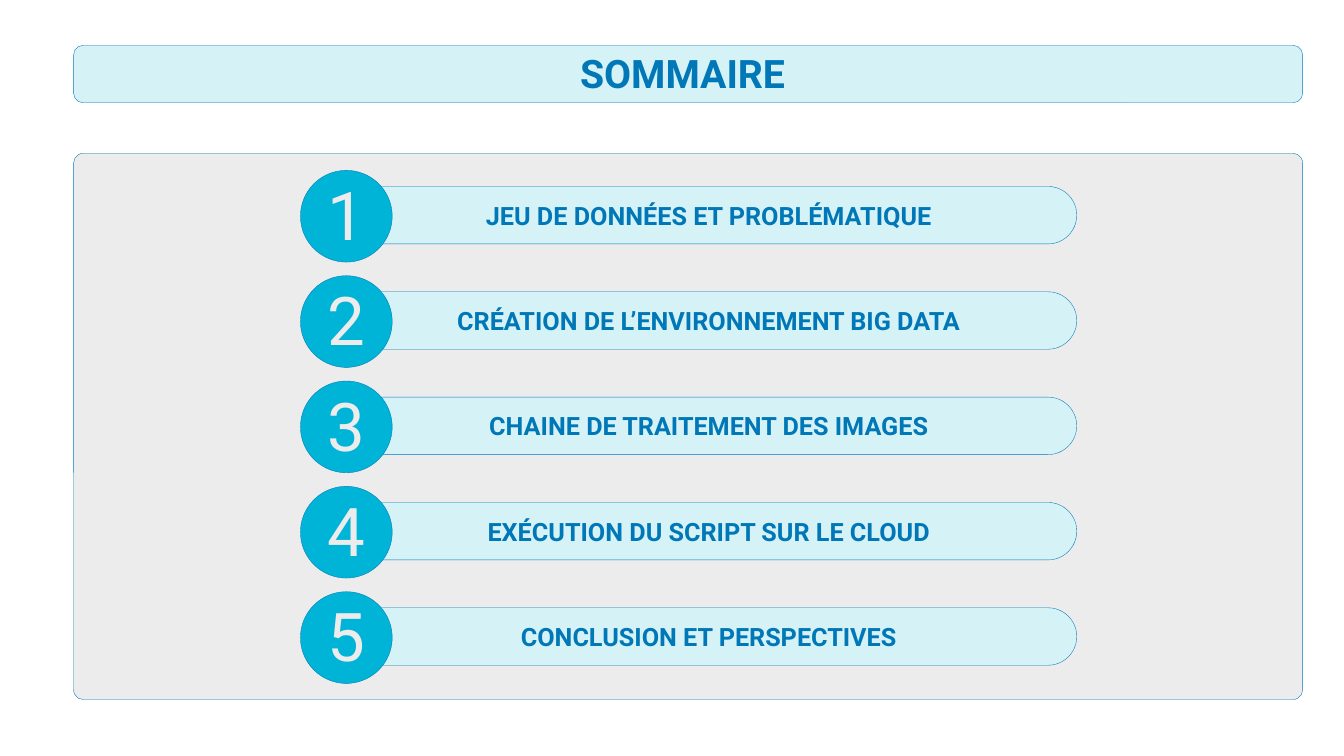
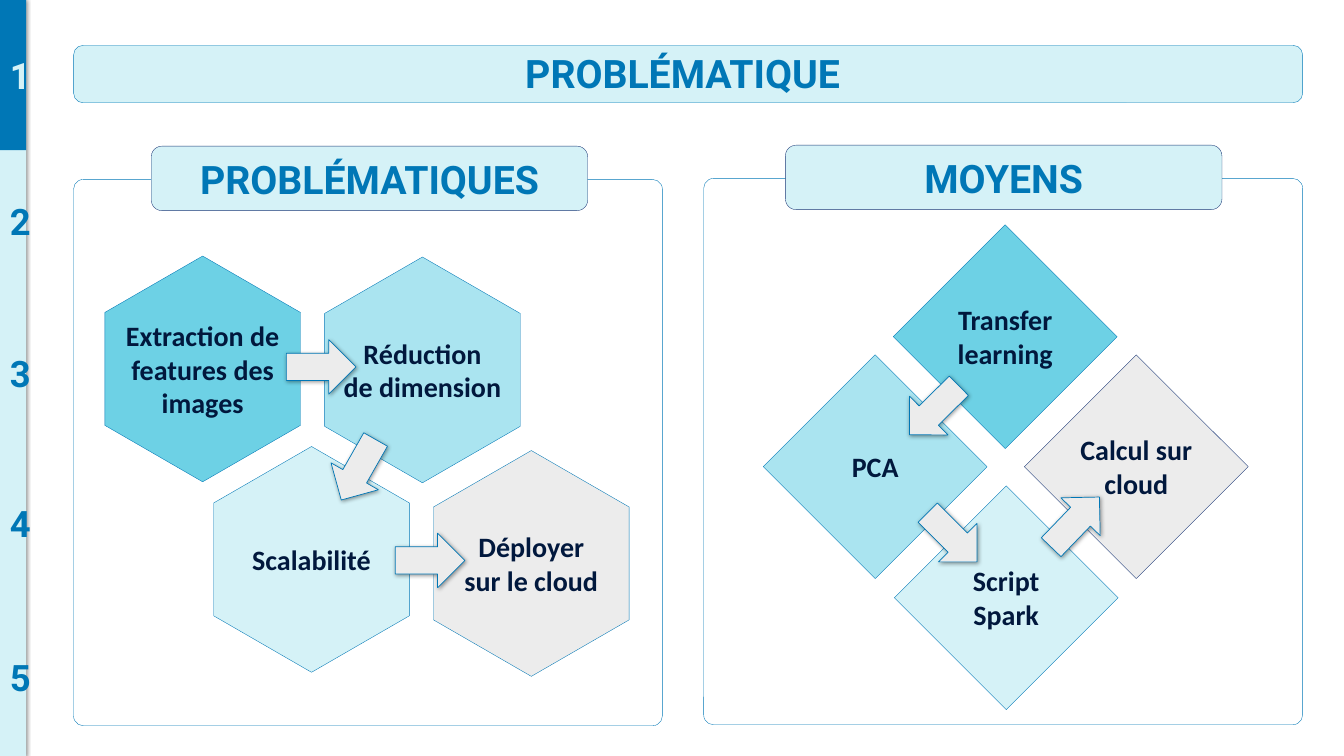
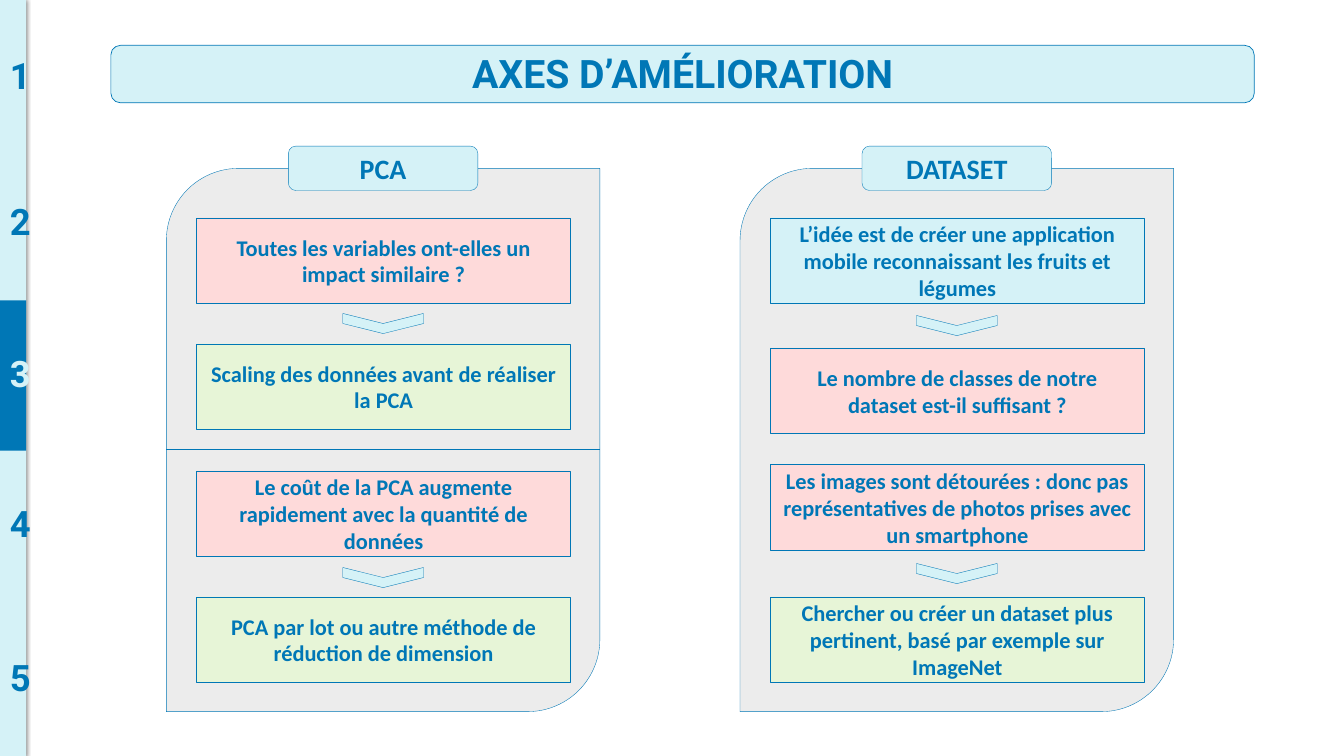
from lxml import etree
from pptx import Presentation
from pptx.dml.color import RGBColor
from pptx.enum.shapes import MSO_CONNECTOR, MSO_SHAPE
from pptx.enum.text import MSO_ANCHOR, MSO_AUTO_SIZE, PP_ALIGN
from pptx.oxml.ns import qn
from pptx.util import Inches, Pt

BLUE = RGBColor(0x00, 0x77, 0xB6)
CYAN = RGBColor(0x00, 0xB4, 0xD8)
SKY = RGBColor(0x6D, 0xD1, 0xE5)
PALE_SKY = RGBColor(0xAA, 0xE4, 0xF0)
ICE = RGBColor(0xD5, 0xF2, 0xF7)
GREY = RGBColor(0xEC, 0xEC, 0xEC)
WHITE = RGBColor(0xFF, 0xFF, 0xFF)
NAVY = RGBColor(0x1C, 0x38, 0x77)
INK = RGBColor(0x01, 0x18, 0x3D)
PINK = RGBColor(0xFE, 0xDA, 0xDA)
GREEN = RGBColor(0xE7, 0xF5, 0xD7)


def paint(sp, fill, line=BLUE, weight=0.25, shadow=None):
    """Set fill, outline and an optional shadow (opacity %, blur pt, distance pt, angle)."""
    sp.fill.solid()
    sp.fill.fore_color.rgb = fill
    if line is None:
        sp.line.fill.background()
    else:
        sp.line.color.rgb = line
        sp.line.width = Pt(weight)
    sp.shadow.inherit = False
    if shadow:
        opacity, blur, dist, angle = shadow
        effects = sp._element.spPr.find(qn("a:effectLst"))
        outer = etree.SubElement(effects, qn("a:outerShdw"), blurRad=str(Pt(blur)),
                                 dist=str(Pt(dist)), dir=str(angle * 60000),
                                 algn="ctr", rotWithShape="0")
        color = etree.SubElement(outer, qn("a:srgbClr"), val="000000")
        etree.SubElement(color, qn("a:alpha"), val=str(opacity * 1000))
    return sp


def write(sp, text, size, font="Calibri", color=BLUE, bold=True, anchor=MSO_ANCHOR.MIDDLE):
    """Fill a shape with centred text, one paragraph a line."""
    tf = sp.text_frame
    tf.text = text
    tf.word_wrap = True
    tf.auto_size = MSO_AUTO_SIZE.NONE
    tf.vertical_anchor = anchor
    for p in tf.paragraphs:
        p.alignment = PP_ALIGN.CENTER
        for r in p.runs:
            r.font.size = Pt(size)
            r.font.name = font
            r.font.bold = bold
            r.font.color.rgb = color
    return tf


prs = Presentation()
prs.slide_width, prs.slide_height = Inches(13.33), Inches(7.5)

# Title bar and section rail of every slide: title, bar left and width, line, section
slides = []
for title, left, width, weight, section in [
    ("SOMMAIRE", 0.73, 12.19, 0.25, None),
    ("PROBLÉMATIQUE", 0.73, 12.19, 0.25, 1),
    ("AXES D’AMÉLIORATION", 1.1, 11.34, 0.5, 3),
]:
    s = prs.slides.add_slide(prs.slide_layouts[5])
    slides.append(s)
    bar = s.shapes.add_shape(MSO_SHAPE.ROUNDED_RECTANGLE,
                             *map(Inches, (left, 0.45, width, 0.57)))
    paint(bar, ICE, weight=weight)
    sp = s.shapes.title
    sp.left, sp.top, sp.width, sp.height = map(Inches, (1.1, 0.44, 11.34, 0.57))
    write(sp, title, 28, "Roboto", anchor=MSO_ANCHOR.TOP)
    bar._element.addnext(sp._element)  # title in front of its bar
    if section is None:
        continue
    rail = s.shapes.add_shape(MSO_SHAPE.RECTANGLE, 0, 0, Inches(0.26), prs.slide_height)
    paint(rail, ICE, line=None, shadow=(50, 3, 0, 0))
    current = s.shapes.add_shape(MSO_SHAPE.RECTANGLE,
                                 *map(Inches, (0, 1.49 * (section - 1), 0.26, 1.49)))
    paint(current, BLUE, line=None)
    for number, top in enumerate((0.48, 1.93, 3.43, 4.92, 6.45), 1):
        sp = s.shapes.add_textbox(*map(Inches, (0, top, 0.25, 0.54)))
        write(sp, str(number), 26, "Roboto", ICE if number == section else BLUE,
              anchor=MSO_ANCHOR.TOP)

summary, problem, improvements = slides

# Slide 1: numbered summary
s = summary
panel = s.shapes.add_shape(MSO_SHAPE.ROUNDED_RECTANGLE, *map(Inches, (0.73, 1.52, 12.19, 5.42)))
panel.adjustments[0] = 0.018
paint(panel, GREY)
chapters = [
    "JEU DE DONNÉES ET PROBLÉMATIQUE",
    "CRÉATION DE L’ENVIRONNEMENT BIG DATA",
    "CHAINE DE TRAITEMENT DES IMAGES",
    "EXÉCUTION DU SCRIPT SUR LE CLOUD",
    "CONCLUSION ET PERSPECTIVES",
]
for i, chapter in enumerate(chapters):
    top = 1.69 + i * 4.18 / 4
    shapes = s.shapes.add_group_shape().shapes
    pill = shapes.add_shape(MSO_SHAPE.ROUNDED_RECTANGLE,
                            *map(Inches, (3.38, top + 0.16, 7.3, 0.57)))
    pill.adjustments[0] = 0.5
    write(paint(pill, ICE), chapter, 18, "Roboto")
    disc = shapes.add_shape(MSO_SHAPE.OVAL, *map(Inches, (2.98, top, 0.91, 0.91)))
    paint(disc, CYAN)
    sp = shapes.add_textbox(*map(Inches, (3.15, top - 0.02, 0.55, 0.91)))
    write(sp, str(i + 1), 48, "Roboto", GREY, False, MSO_ANCHOR.TOP)

# Slide 2: two framed panels with headings
s = problem
for heading, left, top, width, tab_left in [
    ("PROBLÉMATIQUES", 0.73, 1.78, 5.84, 1.5),
    ("MOYENS", 6.98, 1.77, 5.94, 7.79),
]:
    panel = s.shapes.add_shape(MSO_SHAPE.ROUNDED_RECTANGLE,
                               *map(Inches, (left, top, width, 5.42)))
    panel.adjustments[0] = 0.018
    paint(panel, WHITE)
    tab = s.shapes.add_shape(MSO_SHAPE.ROUNDED_RECTANGLE,
                             *map(Inches, (tab_left, top - 0.33, 4.33, 0.64)))
    write(paint(tab, ICE, NAVY), heading, 28, "Roboto")

# Hexagons, from the top corner
for text, x, y, fill in [
    ("Extraction de features des images", 2.01, 2.54, SKY),
    ("Scalabilité", 3.09, 4.43, ICE),
    ("Réduction\nde dimension", 4.19, 2.55, PALE_SKY),
    ("Déployer\nsur le cloud", 5.27, 4.47, GREY),
]:
    builder = s.shapes.build_freeform(Inches(x), Inches(y))
    corners = [(-0.97, 0.56), (-0.97, 1.68), (0, 2.24), (0.97, 1.68), (0.97, 0.56)]
    builder.add_line_segments([(Inches(x + dx), Inches(y + dy)) for dx, dy in corners])
    tf = write(paint(builder.convert_to_shape(), fill), text, 20, color=INK)
    tf.margin_top = tf.margin_bottom = Inches(0.1)

# Diamonds, each with a label across its centre
for text, left, top, fill, line in [
    ("Transfer learning", 8.86, 2.23, SKY, BLUE),
    ("PCA", 7.57, 3.52, PALE_SKY, BLUE),
    ("Script\nSpark", 8.87, 4.82, ICE, BLUE),
    ("Calcul sur\ncloud", 10.16, 3.52, GREY, NAVY),
]:
    diamond = s.shapes.add_shape(MSO_SHAPE.DIAMOND, *map(Inches, (left, top, 2.22, 2.22)))
    paint(diamond, fill, line)
    sp = s.shapes.add_textbox(*map(Inches, (left + 0.27, top + 0.72, 1.68, 0.77)))
    write(sp, text, 20, color=INK)

# Arrows between the steps
for left, top, angle in [
    (2.84, 3.37, 0), (3.21, 4.39, 119.6), (3.92, 5.29, 0),
    (8.92, 3.8, 135.2), (9.1, 5.06, 45), (10.32, 4.91, 313.9),
]:
    arrow = s.shapes.add_shape(MSO_SHAPE.RIGHT_ARROW, *map(Inches, (left, top, 0.69, 0.54)))
    arrow.rotation = angle
    paint(arrow, GREY, weight=0.5, shadow=(40, 3, 1, 45))

# Slide 3: two columns of cards (text, top, fill) and the tops of their chevrons
s = improvements
columns = [
    ("PCA", 1.65, [
        ("Toutes les variables ont-elles un impact similaire ?", 2.16, PINK),
        ("Scaling des données avant de réaliser la PCA", 3.41, GREEN),
        ("Le coût de la PCA augmente rapidement avec la quantité de données", 4.67, PINK),
        ("PCA par lot ou autre méthode de réduction de dimension", 5.92, GREEN),
    ], (2.81, 5.33)),
    ("DATASET", 7.34, [
        ("L’idée est de créer une application mobile reconnaissant les fruits et légumes",
         2.16, ICE),
        ("Le nombre de classes de notre dataset est-il suffisant ?", 3.45, PINK),
        ("Les images sont détourées : donc pas représentatives de photos prises avec "
         "un smartphone", 4.61, PINK),
        ("Chercher ou créer un dataset plus pertinent, basé par exemple sur ImageNet",
         5.92, GREEN),
    ], (2.83, 5.29)),
]
for heading, left, cards, chevron_tops in columns:
    shapes = s.shapes.add_group_shape().shapes
    panel = shapes.add_shape(MSO_SHAPE.ROUND_2_DIAG_RECTANGLE,
                             *map(Inches, (left, 1.67, 4.3, 5.39)))
    paint(panel, GREY)
    tab = shapes.add_shape(MSO_SHAPE.ROUNDED_RECTANGLE,
                           *map(Inches, (left + 1.21, 1.45, 1.88, 0.44)))
    write(paint(tab, ICE), heading, 20)
    for text, top, fill in cards:
        card = s.shapes.add_shape(MSO_SHAPE.RECTANGLE,
                                  *map(Inches, (left + 0.3, top, 3.71, 0.85)))
        write(paint(card, fill), text, 16)
    for top in chevron_tops:
        chevron = s.shapes.add_shape(MSO_SHAPE.CHEVRON,
                                     *map(Inches, (left + 2.05, top, 0.2, 0.8)))
        chevron.rotation = 90
        paint(chevron, ICE)

# Divider between the two PCA topics
divider = s.shapes.add_connector(MSO_CONNECTOR.STRAIGHT, *map(Inches, (1.65, 4.46, 5.95, 4.46)))
divider.line.color.rgb = BLUE
divider.line.width = Pt(0.25)
etree.SubElement(divider._element.spPr, qn("a:effectLst"))

prs.save("out.pptx")
